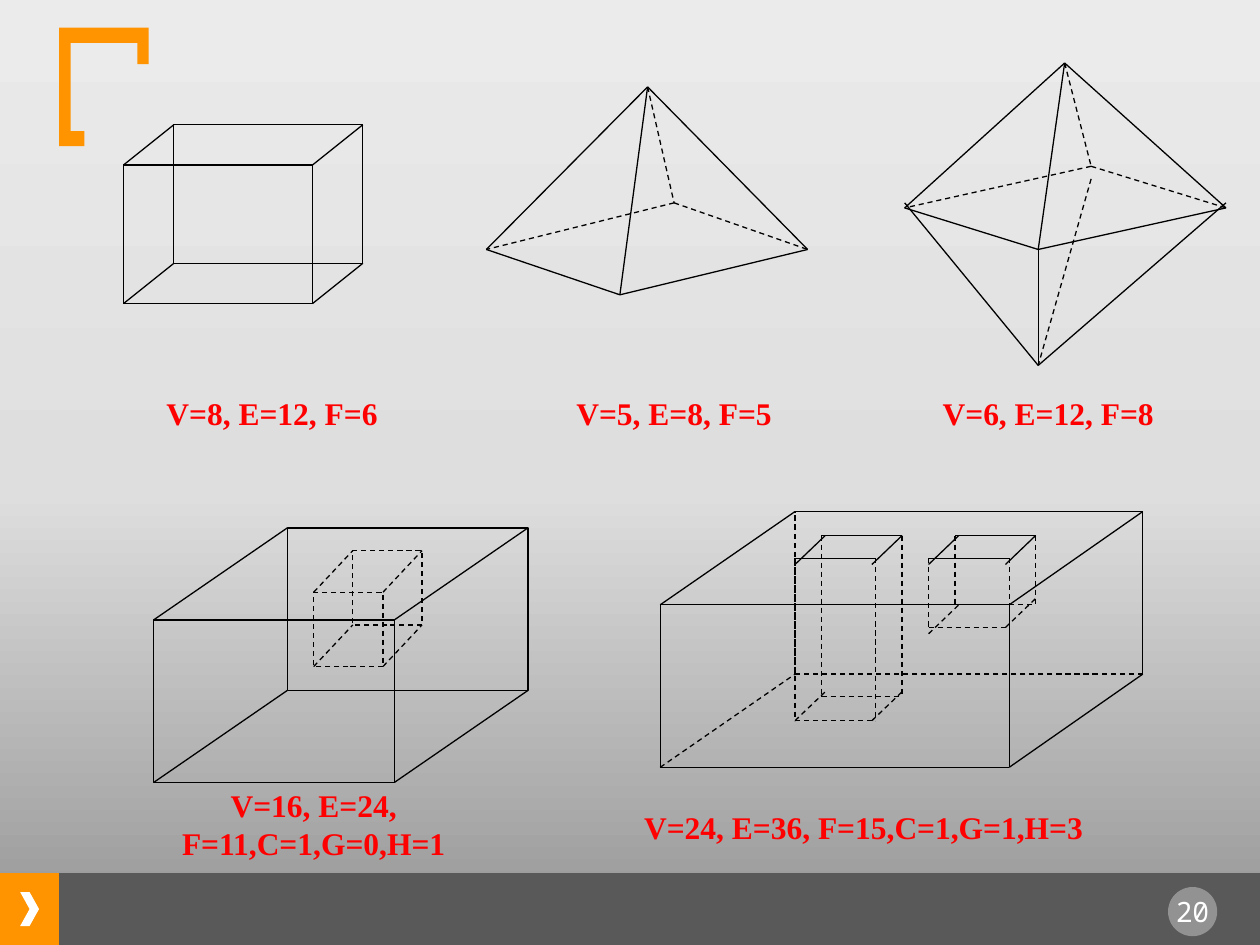
"""Build a slide of wireframe solids with their Euler counts."""
import copy

from pptx import Presentation
from pptx import util as u
from pptx.dml import color
from pptx.enum import dml, shapes, text
from pptx.oxml import ns, xmlchemy

BLACK, WHITE, RED, ORANGE, GREY = "000000", "FFFFFF", "FF0000", "FF9300", "595959"
LABEL = {"size": u.Pt(18), "name": "Times New Roman", "bold": True}
NUMBER = {"size": u.Pt(16), "name": "Noto Sans Mono"}


def rgb(value):
    """Return a colour from a hex string."""
    return color.RGBColor.from_string(value)


def inches(*values):
    """Return the values as lengths in inches."""
    return [u.Inches(value) for value in values]


def paint_background(slide, stops):
    """Fill the background with a vertical gradient that rises from the bottom."""
    fill = slide.background.fill
    fill.gradient()
    fill.gradient_angle = 90
    stop_list = slide.element.xpath(".//a:gsLst")[0]
    stop_list.insert(1, copy.deepcopy(stop_list[0]))
    for stop, (position, value) in zip(fill.gradient_stops, stops):
        stop.position = position
        stop.color.rgb = rgb(value)


def fill_plain(shape, value, alpha=None):
    """Give a shape a flat fill without line or shadow."""
    shape.shadow.inherit = False
    shape.line.fill.background()
    shape.fill.solid()
    shape.fill.fore_color.rgb = rgb(value)
    if alpha:
        solid_color = shape.element.xpath("./p:spPr/a:solidFill/a:srgbClr")[0]
        opacity = solid_color.makeelement(ns.qn("a:alpha"), {"val": str(alpha * 1000)})
        solid_color.append(opacity)


def add_filled(slide, kind, box, value, alpha=None):
    """Add a filled preset shape."""
    fill_plain(slide.shapes.add_shape(kind, *inches(*box)), value, alpha)


def add_outline(slide, points, value):
    """Add a filled polygon."""
    corners = [inches(*point) for point in points]
    builder = slide.shapes.build_freeform(*corners[0])
    builder.add_line_segments(corners[1:], close=True)
    fill_plain(builder.convert_to_shape(), value)


def add_text(slide, box, words, font, value, margins=(0.1, 0.05)):
    """Add one centred paragraph in a text box."""
    frame = slide.shapes.add_textbox(*inches(*box)).text_frame
    frame.word_wrap = True
    frame.margin_left = frame.margin_right = u.Inches(margins[0])
    frame.margin_top = frame.margin_bottom = u.Inches(margins[1])
    paragraph = frame.paragraphs[0]
    paragraph.alignment = text.PP_ALIGN.CENTER
    run = paragraph.add_run()
    run.text = words
    for name, setting in font.items():
        setattr(run.font, name, setting)
    run.font.color.rgb = rgb(value)


def draw_pen(line, dashed):
    """Set the thin black line, solid or dashed."""
    line.color.rgb = rgb(BLACK)
    line.width = u.Pt(0.75)
    if dashed:
        line.dash_style = dml.MSO_LINE.DASH


def add_edge(group, start, end, dashed=False):
    """Add one straight edge."""
    edge = group.shapes.add_connector(
        shapes.MSO_CONNECTOR.STRAIGHT, *inches(*start, *end))
    edge.element.spPr.append(xmlchemy.OxmlElement("a:effectLst"))
    draw_pen(edge.line, dashed)


def add_edges(group, points, solid, dashed):
    """Add edges that are given as pairs of point names."""
    for pairs, hidden in ((solid, False), (dashed, True)):
        for start, end in pairs.split():
            add_edge(group, points[start], points[end], hidden)


def add_box(group, front, back, size, dashed=False):
    """Add a wireframe box from its front and back top-left corners."""
    width, height = size
    for corner in (front, back):
        face = group.shapes.add_shape(
            shapes.MSO_SHAPE.RECTANGLE, *inches(*corner, *size))
        face.shadow.inherit = False
        face.fill.background()
        draw_pen(face.line, dashed)
    for across in (0, width):
        for down in (0, height):
            add_edge(group, (front[0] + across, front[1] + down),
                     (back[0] + across, back[1] + down), dashed)


def add_block(group):
    """Add the large block with its hidden edges dashed."""
    points = {"A": (5.24, 4.8), "B": (8.01, 4.8), "C": (8.01, 6.09), "D": (5.24, 6.09),
              "E": (6.31, 4.06), "F": (9.07, 4.06), "G": (9.07, 5.35), "H": (6.31, 5.35)}
    add_edges(group, points, "AE BF CG AB BC CD DA EF FG", "DH GH HE")


def add_pocket(group, left, front_bottom, back_bottom, slant_bottoms):
    """Add a pocket that is sunk into the top of the block."""
    for start, top, bottom in ((left, 4.43, front_bottom), (left + 0.21, 4.25, back_bottom)):
        end = start + 0.64
        add_edge(group, (start, top), (end, top))
        add_edge(group, (start, bottom), (end, bottom), True)
        for x in (start, end):
            add_edge(group, (x, top), (x, bottom), True)
    for x, bottom in zip((left, left + 0.61), slant_bottoms):
        for y, dashed in ((4.48, False), (bottom, True)):
            add_edge(group, (x, y), (x + 0.24, y - 0.23), dashed)


def add_frame(slide):
    """Add the footer band, page number and corner bracket."""
    kinds = shapes.MSO_SHAPE
    add_filled(slide, kinds.RECTANGLE, (0, 6.93, 0.47, 0.57), ORANGE)
    add_filled(slide, kinds.RECTANGLE, (0.47, 6.93, 9.53, 0.57), GREY)
    add_filled(slide, kinds.CHEVRON, (0.16, 7.08, 0.15, 0.27), WHITE)
    add_filled(slide, kinds.OVAL, (9.27, 7.04, 0.39, 0.39), WHITE, 35)
    add_text(slide, (9.2, 7.05, 0.53, 0.37), "20", NUMBER, WHITE)
    add_outline(slide, [(0.47, 0.22), (1.18, 0.22), (1.18, 0.51), (1.09, 0.51), (1.09, 0.34),
                        (0.56, 0.34), (0.56, 1.04), (0.67, 1.04), (0.67, 1.16), (0.47, 1.16)],
                ORANGE)


def add_solids(slide):
    """Add the five wireframe solids, each in its own group."""
    pyramid, octahedron, hollow, block, cuboid = (
        slide.shapes.add_group_shape() for _ in range(5))
    add_edges(pyramid, {"T": (5.14, 0.69), "L": (3.86, 1.98), "F": (4.92, 2.34),
                        "R": (6.41, 1.98), "B": (5.35, 1.61)},
              "TL LF TF TR RF", "TB BL BR")
    add_edges(octahedron, {"T": (8.45, 0.5), "L": (7.18, 1.65), "F": (8.24, 1.98),
                           "R": (9.73, 1.65), "B": (8.66, 1.32), "D": (8.24, 2.9),
                           "l": (7.18, 1.61), "r": (9.73, 1.61), "b": (8.66, 1.42)},
              "TL LF TF TR RF lD FD rD", "TB BL BR bD")
    add_box(hollow, (1.22, 4.92), (2.28, 4.19), (1.91, 1.29))
    add_box(hollow, (2.49, 4.7), (2.8, 4.37), (0.55, 0.59), True)
    add_block(block)
    add_pocket(block, 6.31, 5.72, 5.53, (5.72, 5.72))
    add_pocket(block, 7.37, 4.98, 4.8, (5.03, 4.98))
    add_box(cuboid, (0.98, 1.31), (1.38, 0.99), (1.5, 1.1))


def add_labels(slide):
    """Add the counts of vertices, edges and faces."""
    for left, words in ((1.1, "V=8, E=12, F=6"), (4.29, "V=5, E=8, F=5"),
                        (7.26, "V=6, E=12, F=8")):
        add_text(slide, (left, 3.08, 2.12, 0.55), words, LABEL, RED)
    for box, words in (((4.73, 6.41, 4.25, 0.55), "V=24, E=36, F=15,C=1,G=1,H=3"),
                       ((0.79, 6.24, 3.4, 0.55), "V=16, E=24, F=11,C=1,G=0,H=1")):
        add_text(slide, box, words, LABEL, RED, (0, 0))


def main():
    """Build and save the presentation."""
    presentation = Presentation()
    presentation.slide_width, presentation.slide_height = inches(10, 7.5)
    slide = presentation.slides.add_slide(presentation.slide_layouts[6])
    paint_background(slide, ((0, "949494"), (0.48, "DEDEDE"), (1, "EBEBEB")))
    add_frame(slide)
    add_solids(slide)
    add_labels(slide)
    presentation.save("out.pptx")


main()
